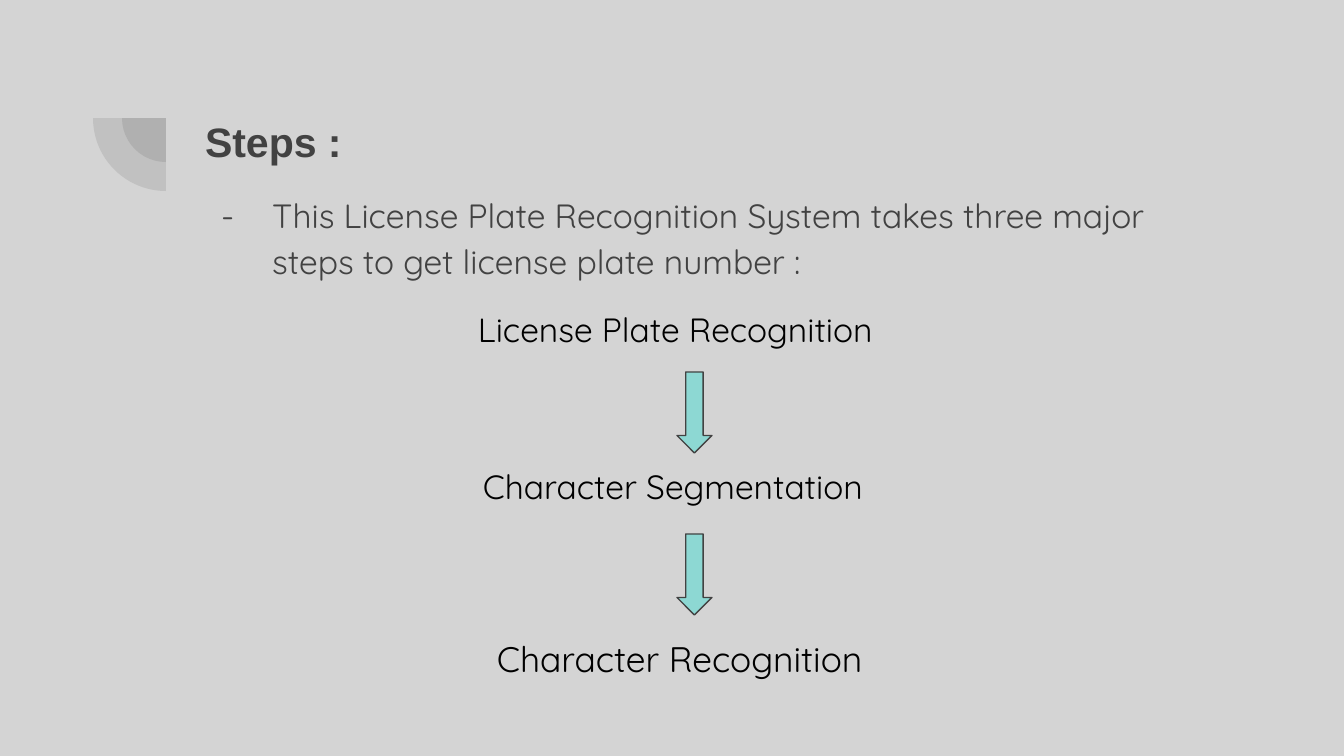
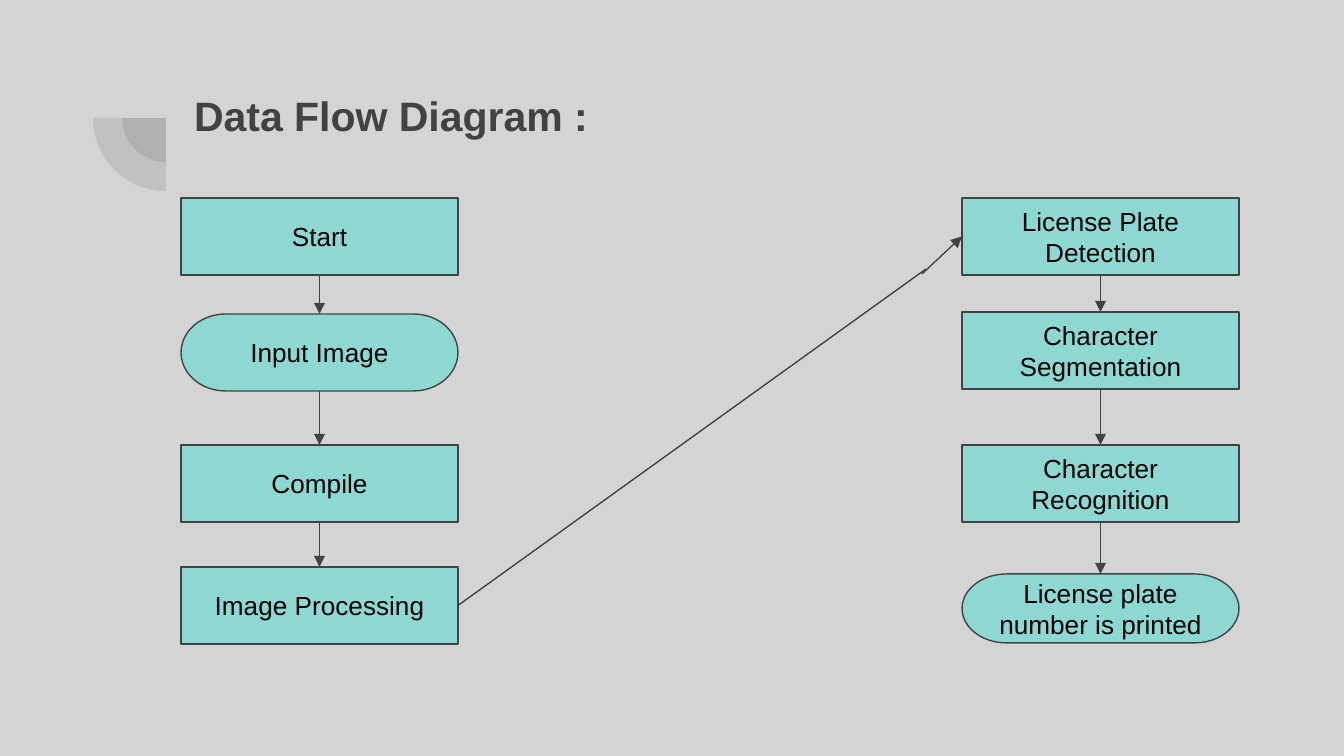
from itertools import pairwise

from lxml import etree
from pptx import Presentation
from pptx import util as u
from pptx.dml.color import RGBColor
from pptx.enum import shapes, text
from pptx.oxml import ns

PX = 914400 / 134.4
GROUND = RGBColor(0xD4, 0xD4, 0xD4)
DARK = RGBColor(0x42, 0x42, 0x42)
TEAL = RGBColor(0x8D, 0xD8, 0xD3)
BLACK = RGBColor(0, 0, 0)
SANS, ROUNDED = "Arial", "Quicksand"
INSET = 13
RECTANGLE = shapes.MSO_SHAPE.RECTANGLE
TERMINATOR = shapes.MSO_SHAPE.FLOWCHART_TERMINATOR
TOP, LEFT, BOTTOM, RIGHT = range(4)


def px(*lengths):
    return [u.Emu(round(length * PX)) for length in lengths]


def add_xml(parent, tag, **attributes):
    return etree.SubElement(parent, ns.qn(tag), attributes)


class Deck:
    """Holds the shared style and the slide being built."""

    def __init__(self):
        self.presentation = Presentation()
        self.presentation.slide_width, self.presentation.slide_height = px(1344, 756)
        background = self.presentation.slide_master.background.fill
        background.solid()
        background.fore_color.rgb = GROUND

    def new_slide(self, title, left, top, width, height):
        layout = self.presentation.slide_layouts.get_by_name("Title Only")
        self.slide = self.presentation.slides.add_slide(layout)
        for radius in (44, 73):
            self.quarter_disc(166, 118, radius)
        shape = self.slide.shapes.title
        shape.left, shape.top, shape.width, shape.height = px(left, top, width, height)
        self.put_text(shape, title, 22, SANS, DARK, bold=True)

    def put_text(self, shape, words, size, font, color, bold=False,
                 align=text.PP_ALIGN.LEFT, anchor=text.MSO_ANCHOR.TOP):
        frame = shape.text_frame
        frame.word_wrap = True
        frame.auto_size = text.MSO_AUTO_SIZE.NONE
        frame.vertical_anchor = anchor
        frame.margin_left, frame.margin_top, frame.margin_right, frame.margin_bottom = px(*[INSET] * 4)
        paragraph = frame.paragraphs[0]
        paragraph.alignment = align
        run = paragraph.add_run()
        run.text = words
        run.font.size = u.Pt(size)
        run.font.name = font
        run.font.bold = bold
        run.font.color.rgb = color
        return paragraph

    def preset(self, kind, left, top, width, height, fill=TEAL):
        shape = self.slide.shapes.add_shape(kind, *px(left, top, width, height))
        shape.shadow.inherit = False
        shape.fill.solid()
        shape.fill.fore_color.rgb = fill
        shape.line.color.rgb = DARK
        shape.line.width = u.Pt(0.75)
        return shape

    def quarter_disc(self, center_x, center_y, radius):
        """Draw the see-through lower-left quarter of a disc."""
        disc = self.preset(shapes.MSO_SHAPE.PIE, center_x - radius, center_y - radius,
                           2 * radius, 2 * radius, DARK)
        disc.adjustments[0], disc.adjustments[1] = 108, 162
        disc.rotation = 270
        disc.line.fill.background()
        color = disc._element.spPr.find(ns.qn("a:solidFill")).find(ns.qn("a:srgbClr"))
        add_xml(color, "a:alpha", val="13000")

    def label(self, words, left, top, width, height, size=18, color=BLACK):
        box = self.slide.shapes.add_textbox(*px(left, top, width, height))
        return self.put_text(box, words, size, ROUNDED, color)

    def bullet(self, words, left, top, width, height):
        paragraph = self.label(words, left, top, width, height, color=DARK)
        properties = paragraph._p.get_or_add_pPr()
        properties.set("marL", str(u.Inches(0.5)))
        properties.set("indent", str(u.Inches(-0.38)))
        add_xml(add_xml(properties, "a:buClr"), "a:srgbClr", val=str(DARK))
        add_xml(properties, "a:buFont", typeface=ROUNDED)
        add_xml(properties, "a:buChar", char="-")
        paragraph.line_spacing = 1.15

    def step(self, kind, words, left, top, height=77):
        shape = self.preset(kind, left, top, 277, height)
        self.put_text(shape, words, 14, SANS, BLACK, align=text.PP_ALIGN.CENTER,
                      anchor=text.MSO_ANCHOR.MIDDLE)
        return shape

    def line(self, start=(0, 0), end=(0, 0), begin_at=None, end_at=None, arrow=True):
        """Draw a line between points in px, or between (shape, side) joints."""
        connector = self.slide.shapes.add_connector(
            shapes.MSO_CONNECTOR.STRAIGHT, *px(*start, *end))
        if begin_at:
            connector.begin_connect(*begin_at)
        if end_at:
            connector.end_connect(*end_at)
        connector.line.color.rgb = DARK
        connector.line.width = u.Pt(0.75)
        properties = connector._element.spPr
        if arrow:
            add_xml(properties.find(ns.qn("a:ln")), "a:tailEnd", type="triangle")
        add_xml(properties, "a:effectLst")

    def flow_column(self, left, steps):
        column = [self.step(kind, words, left, *place) for kind, words, *place in steps]
        for upper, lower in pairwise(column):
            self.line(begin_at=(upper, BOTTOM), end_at=(lower, TOP))
        return column


def build_steps(deck):
    deck.new_slide("Steps :", 192, 103, 1034, 146)
    deck.bullet("This License Plate Recognition System takes three major steps "
                "to get license plate number :", 192, 176, 1034, 500)
    deck.label("License Plate Recognition", 465, 296, 458, 67)
    deck.label("Character Segmentation", 470, 453, 449, 67)
    deck.label("Character Recognition", 484, 624, 449, 70, size=19)
    for top in (372, 534):
        deck.preset(shapes.MSO_SHAPE.DOWN_ARROW, 677, top, 35, 81)


def build_data_flow(deck):
    deck.new_slide("Data Flow Diagram :", 181, 77, 1034, 99)
    preparation = deck.flow_column(181, [
        (RECTANGLE, "Start", 198),
        (TERMINATOR, "Input Image", 314),
        (RECTANGLE, "Compile", 445),
        (RECTANGLE, "Image Processing", 567),
    ])
    recognition = deck.flow_column(962, [
        (RECTANGLE, "License Plate Detection", 198),
        (RECTANGLE, "Character Segmentation", 312),
        (RECTANGLE, "Character Recognition", 445),
        (TERMINATOR, "License plate number is printed", 574, 69),
    ])
    deck.line(start=(926, 269), end_at=(preparation[-1], RIGHT), arrow=False)
    deck.line(start=(922, 274), end_at=(recognition[0], LEFT))


def main():
    deck = Deck()
    build_steps(deck)
    build_data_flow(deck)
    deck.presentation.save("out.pptx")


if __name__ == "__main__":
    main()
